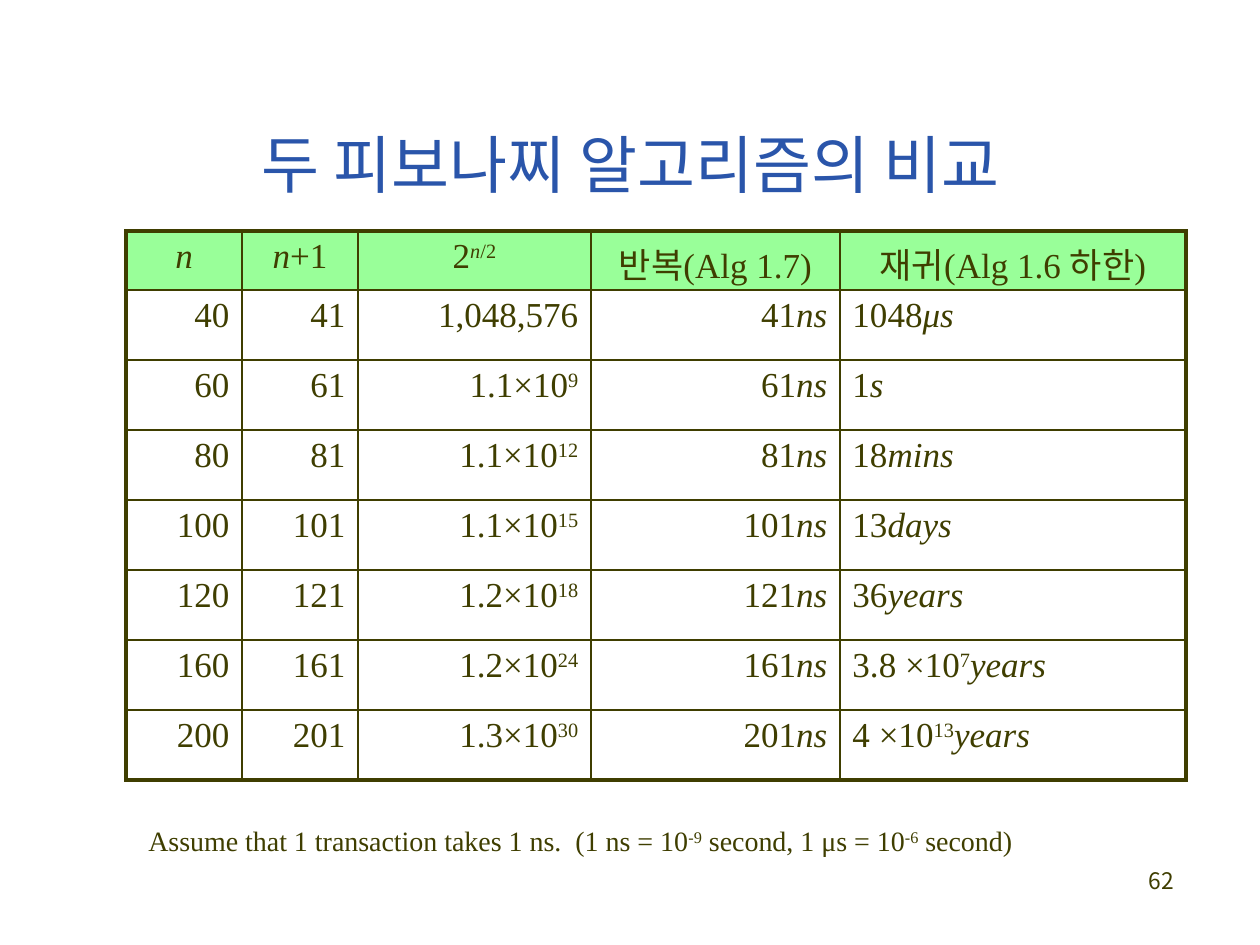
from dataclasses import dataclass

import lxml.etree
import pptx
import pptx.dml.color
import pptx.enum.text
import pptx.oxml.ns
import pptx.util

ALIGN = pptx.enum.text.PP_ALIGN
ANCHOR = pptx.enum.text.MSO_ANCHOR
RGB = pptx.dml.color.RGBColor.from_string
EMU_PER_PX = 914400 / 126


@dataclass(frozen=True)
class Theme:
    ink: str = "3F3E00"
    blue: str = "2A55AA"
    green: str = "99FF99"
    serif: str = "Times New Roman"
    sans: str = "Noto Sans CJK KR"
    title: int = 36
    cell: int = 20
    note: int = 16
    page: int = 13
    thin: float = 1
    thick: float = 2.25


THEME = Theme()
WIDTHS = (116, 116, 233, 249, 346)
HEAD_HIGH, ROW_HIGH = 59, 70
ALIGNS = (ALIGN.RIGHT,) * 4 + (ALIGN.LEFT,)
HEADS = ("*n*", "*n*+1", "2^*n*/2^", "반복(Alg 1.7)", "재귀(Alg 1.6 하한)")
# n, 2 to the power n/2, time of the recursive version
COSTS = (
    (40, "1,048,576", "1048*μs*"),
    (60, "1.1×10^9^", "1*s*"),
    (80, "1.1×10^12^", "18*mins*"),
    (100, "1.1×10^15^", "13*days*"),
    (120, "1.2×10^18^", "36*years*"),
    (160, "1.2×10^24^", "3.8 ×10^7^*years*"),
    (200, "1.3×10^30^", "4 ×10^13^*years*"),
)


def px(count):
    return pptx.util.Emu(round(count * EMU_PER_PX))


def set_all(item, values):
    for name, value in values.items():
        setattr(item, name, value)


def add_child(node, tag, **attrs):
    return lxml.etree.SubElement(node, pptx.oxml.ns.qn(tag), attrs)


def write(frame, text, size, face=THEME.serif, color=THEME.ink, align=ALIGN.LEFT):
    """Fill the first paragraph; *...* is italic and ^...^ is superscript."""
    para = frame.paragraphs[0]
    para.alignment = align
    for i, part in enumerate(text.split("^")):
        for j, bit in enumerate(part.split("*")):
            if not bit:
                continue
            run = para.add_run()
            run.text = bit
            set_all(run.font, {"name": face, "size": pptx.util.Pt(size), "italic": j % 2 == 1})
            run.font.color.rgb = RGB(color)
            props = run._r.get_or_add_rPr()
            add_child(props, "a:ea", typeface=THEME.sans)
            if i % 2:
                props.set("baseline", "30000")


def add_text(slide, box, text, size, frame_format=None, **style):
    frame = slide.shapes.add_textbox(*map(px, box)).text_frame
    set_all(frame, {"word_wrap": True, **(frame_format or {})})
    write(frame, text, size, **style)


def set_edges(cell, outer):
    """Draw the four borders, thick on the sides named in outer."""
    props = cell._tc.get_or_add_tcPr()
    for spot, side in enumerate("LRTB"):
        width = pptx.util.Pt(THEME.thick if side in outer else THEME.thin)
        line = lxml.etree.Element(pptx.oxml.ns.qn(f"a:ln{side}"), w=str(width))
        fill = add_child(line, "a:solidFill")
        add_child(fill, "a:srgbClr", val=THEME.ink)
        props.insert(spot, line)


def add_grid(slide, left, top, rows):
    high = HEAD_HIGH + ROW_HIGH * (len(rows) - 1)
    box = map(px, (left, top, sum(WIDTHS), high))
    table = slide.shapes.add_table(len(rows), len(WIDTHS), *box).table
    set_all(table, {"first_row": False, "horz_banding": False})
    for col, width in zip(table.columns, WIDTHS):
        col.width = px(width)
    for r, row in enumerate(rows):
        table.rows[r].height = px(ROW_HIGH if r else HEAD_HIGH)
        for c, text in enumerate(row):
            cell = table.cell(r, c)
            write(cell.text_frame, text, THEME.cell, align=ALIGNS[c] if r else ALIGN.CENTER)
            if r:
                cell.fill.background()
            else:
                cell.fill.solid()
                cell.fill.fore_color.rgb = RGB(THEME.green)
            rims = {"L": c == 0, "R": c == len(row) - 1, "T": r == 0, "B": r == len(rows) - 1}
            set_edges(cell, [side for side, rim in rims.items() if rim])


def main():
    deck = pptx.Presentation()
    set_all(deck, {"slide_width": px(1260), "slide_height": px(945)})
    slide = deck.slides.add_slide(deck.slide_layouts[6])

    add_text(slide, (95, 84, 1071, 158), "두 피보나찌 알고리즘의 비교", THEME.title,
             {"vertical_anchor": ANCHOR.MIDDLE},
             face=THEME.sans, color=THEME.blue, align=ALIGN.CENTER)
    rows = [(str(n), str(n + 1), power, f"{n + 1}*ns*", time) for n, power, time in COSTS]
    add_grid(slide, 126, 231, [HEADS, *rows])
    add_text(slide, (136, 809, 919, 97),
             "Assume that 1 transaction takes 1 ns.  (1 ns = 10^-9^ second, 1 μs = 10^-6^ second)",
             THEME.note, {"margin_top": px(15)})
    add_text(slide, (924, 861, 262, 63), "62", THEME.page, face=THEME.sans, align=ALIGN.RIGHT)

    deck.save("out.pptx")


if __name__ == "__main__":
    main()
